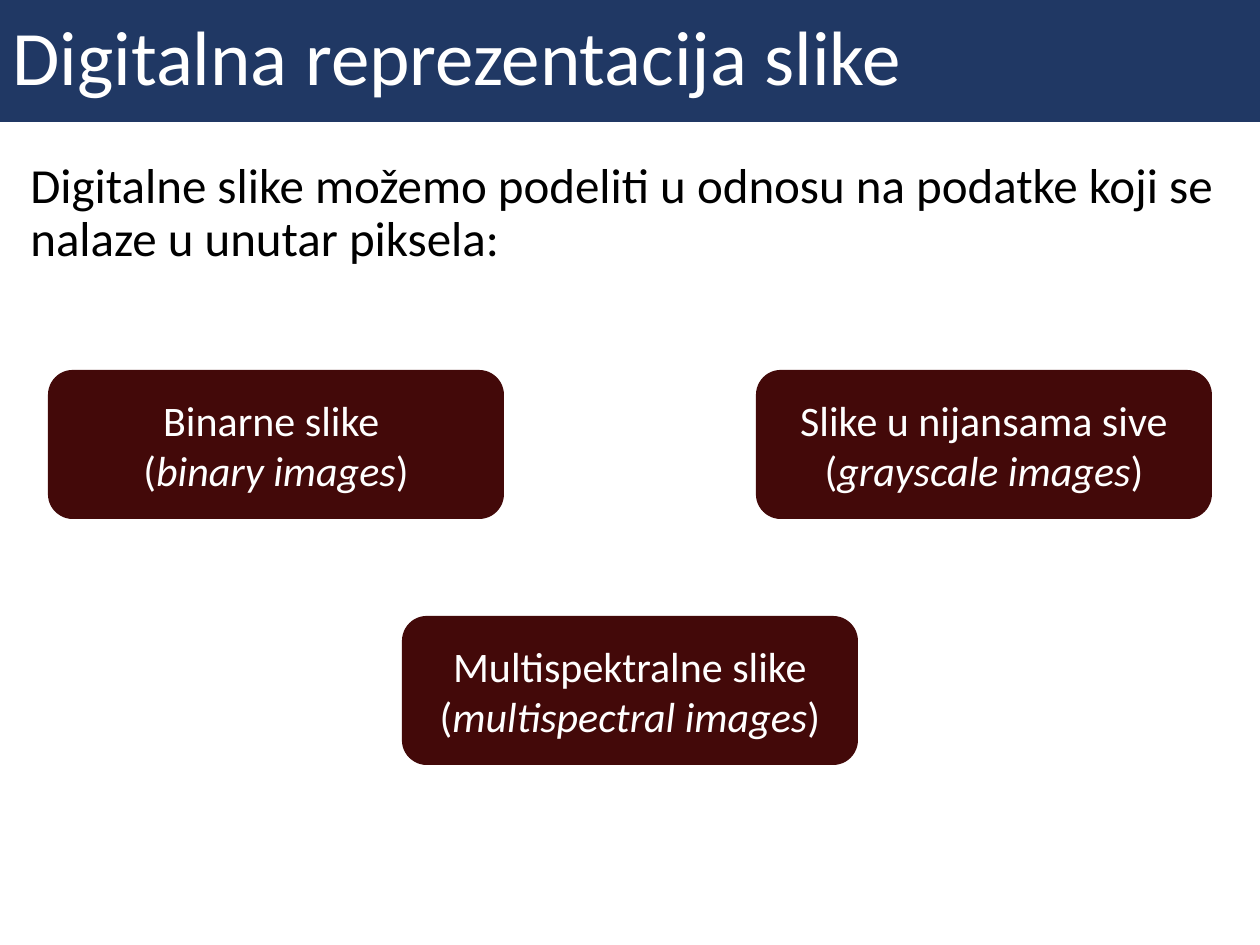
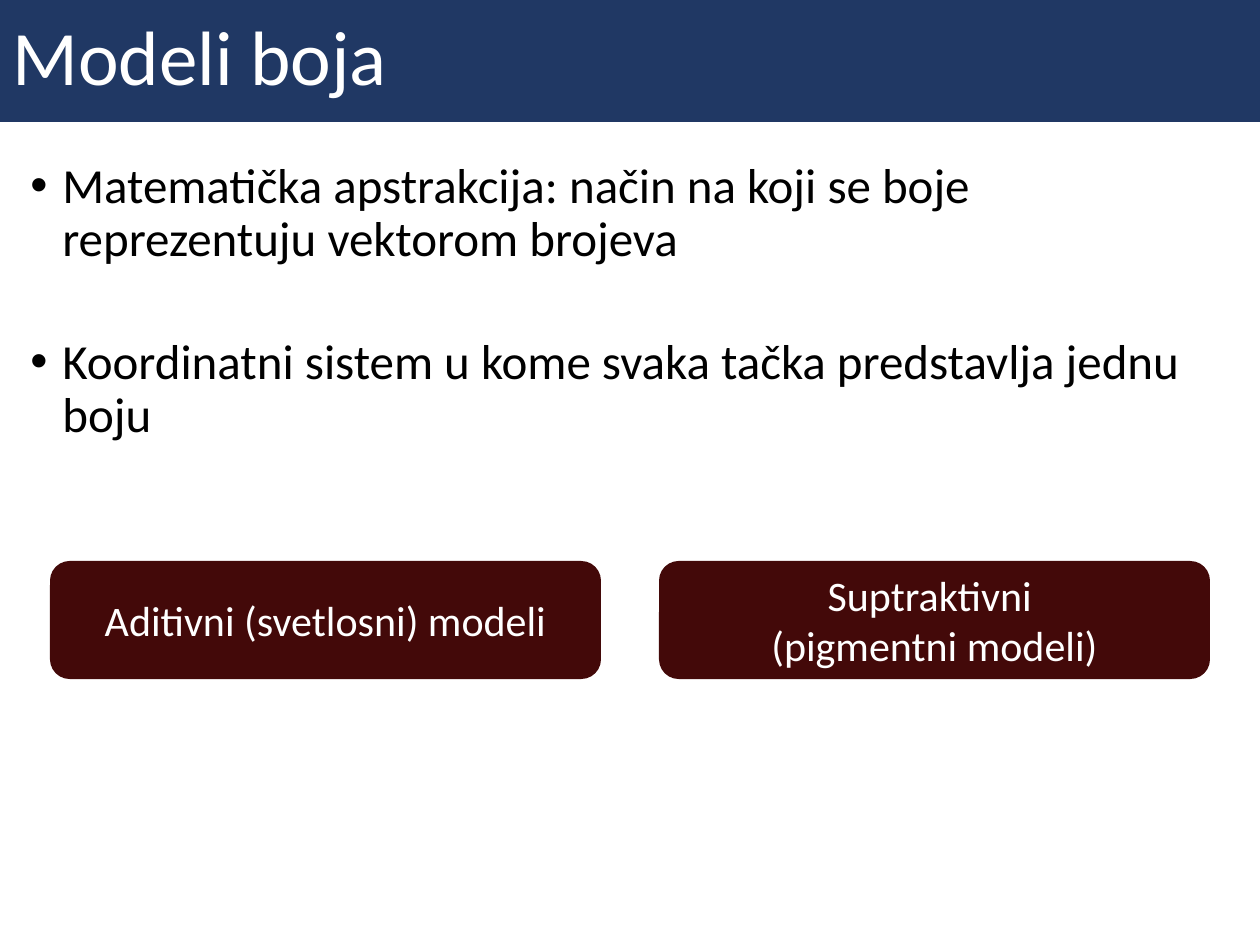
import pptx
import pptx.dml.color
import pptx.enum.shapes
import pptx.enum.text
import pptx.util
from lxml import etree
from pptx.oxml import ns

PIXELS_PER_INCH = 126
SLIDE_WIDTH, SLIDE_HEIGHT = 1260, 945
TITLE_HEIGHT = 122
BODY_LEFT, BODY_TOP, BODY_WIDTH = 18, 155, 1224
BULLET_INDENT = 32
FONT = "Calibri"
NAVY, MAROON, WHITE, BLACK = "203864", "430909", "FFFFFF", "000000"
SHAPES = pptx.enum.shapes.MSO_SHAPE
ALIGN = pptx.enum.text.PP_ALIGN


def px(length):
    return pptx.util.Emu(round(length * pptx.util.Inches(1) / PIXELS_PER_INCH))


def color(hex_string):
    return pptx.dml.color.RGBColor.from_string(hex_string)


def add_bullet(paragraph):
    properties = paragraph._p.get_or_add_pPr()
    properties.set("marL", str(px(BULLET_INDENT)))
    properties.set("indent", str(-px(BULLET_INDENT)))
    etree.SubElement(properties, ns.qn("a:buFont"), typeface="Arial")
    etree.SubElement(properties, ns.qn("a:buChar"), char="•")


def write_text(shape, paragraphs, size, text_color, align=ALIGN.LEFT,
               line_spacing=1.0, gap=0, bulleted=False):
    """Write paragraphs, each a tuple of runs in which every second run is italic."""
    frame = shape.text_frame
    frame.word_wrap = True
    for number, runs in enumerate(paragraphs):
        paragraph = frame.add_paragraph() if number else frame.paragraphs[0]
        if bulleted:
            add_bullet(paragraph)
        paragraph.alignment = align
        paragraph.line_spacing = line_spacing
        if number and gap:
            paragraph.space_before = pptx.util.Pt(gap)
        for position, text in enumerate(runs):
            run = paragraph.add_run()
            run.text = text
            run.font.name = FONT
            run.font.size = pptx.util.Pt(size)
            run.font.italic = position % 2 == 1
            run.font.color.rgb = color(text_color)


def add_filled_shape(slide, kind, left, top, width, height, fill):
    shape = slide.shapes.add_shape(kind, px(left), px(top), px(width), px(height))
    shape.shadow.inherit = False
    shape.fill.solid()
    shape.fill.fore_color.rgb = color(fill)
    shape.line.fill.background()
    shape.text_frame.vertical_anchor = pptx.enum.text.MSO_ANCHOR.MIDDLE
    return shape


def add_title_band(slide, title):
    band = add_filled_shape(slide, SHAPES.RECTANGLE, 0, 0, SLIDE_WIDTH, TITLE_HEIGHT, NAVY)
    write_text(band, [(title,)], 44, WHITE, line_spacing=0.9)


def add_body(slide, texts, height, bulleted=False):
    body = slide.shapes.add_textbox(px(BODY_LEFT), px(BODY_TOP), px(BODY_WIDTH), px(height))
    write_text(body, [(text,) for text in texts], 28, BLACK,
               line_spacing=0.9, gap=40, bulleted=bulleted)


def add_category(slide, paragraphs, left, top, width, height):
    box = add_filled_shape(slide, SHAPES.ROUNDED_RECTANGLE, left, top, width, height, MAROON)
    write_text(box, paragraphs, 24, WHITE, align=ALIGN.CENTER)


def add_category_pair(slide, left_text, right_text, margin, top, width, height):
    """Place two boxes at equal distances from the slide's sides."""
    add_category(slide, left_text, margin, top, width, height)
    add_category(slide, right_text, SLIDE_WIDTH - margin - width, top, width, height)


def add_slide(presentation, title):
    slide = presentation.slides.add_slide(presentation.slide_layouts[6])
    add_title_band(slide, title)
    return slide


def build_image_types(presentation):
    slide = add_slide(presentation, "Digitalna reprezentacija slike")
    add_body(slide, ["Digitalne slike možemo podeliti u odnosu na podatke koji se "
                     "nalaze u unutar piksela:"], height=707)
    width, height = 456, 149
    add_category_pair(slide,
                      [("Binarne slike ",), ("(", "binary images", ")")],
                      [("Slike u nijansama sive (", "grayscale images", ")")],
                      48, 370, width, height)
    add_category(slide, [("Multispektralne slike (", "multispectral images", ")")],
                 (SLIDE_WIDTH - width) // 2, 616, width, height)


def build_color_models(presentation):
    slide = add_slide(presentation, "Modeli boja")
    add_body(slide, ["Matematička apstrakcija: način na koji se boje reprezentuju "
                     "vektorom brojeva",
                     "Koordinatni sistem u kome svaka tačka predstavlja jednu boju"],
             height=297, bulleted=True)
    add_category_pair(slide,
                      [("Aditivni (svetlosni) modeli",)],
                      [("Suptraktivni ",), ("(pigmentni modeli)",)],
                      50, 561, 551, 118)


def main():
    presentation = pptx.Presentation()
    presentation.slide_width = px(SLIDE_WIDTH)
    presentation.slide_height = px(SLIDE_HEIGHT)
    build_image_types(presentation)
    build_color_models(presentation)
    presentation.save("out.pptx")


if __name__ == "__main__":
    main()
